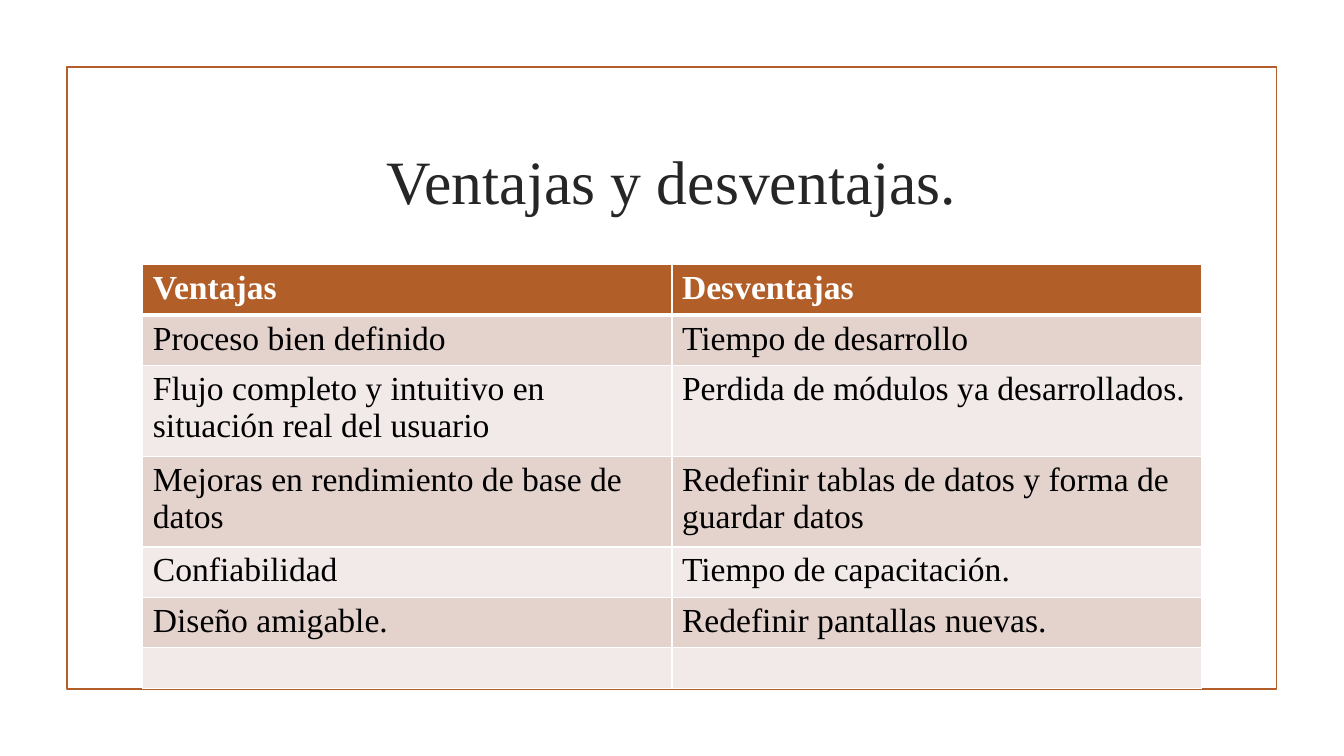
from lxml import etree
from pptx import Presentation
from pptx.dml.color import RGBColor
from pptx.enum.shapes import MSO_SHAPE
from pptx.enum.text import MSO_ANCHOR, PP_ALIGN
from pptx.oxml.ns import qn
from pptx.util import Pt

RECTANGLE = MSO_SHAPE.RECTANGLE
MIDDLE, TOP = MSO_ANCHOR.MIDDLE, MSO_ANCHOR.TOP
CENTER, LEFT = PP_ALIGN.CENTER, PP_ALIGN.LEFT

COLORS = {
    "accent": "B15E28",
    "title": "262626",
    "text": "000000",
    "white": "FFFFFF",
    "band_dark": "E4D2CD",
    "band_light": "F2EAE8",
}
FONT = "Times New Roman"
ROW_HEIGHT = 29.2
ROWS = [
    ("Ventajas", "Desventajas"),
    ("Proceso bien definido", "Tiempo de desarrollo"),
    ("Flujo completo y intuitivo en situación real del usuario",
     "Perdida de módulos ya desarrollados."),
    ("Mejoras en rendimiento de base de datos",
     "Redefinir tablas de datos y forma de guardar datos"),
    ("Confiabilidad", "Tiempo de capacitación."),
    ("Diseño amigable.", "Redefinir pantallas nuevas."),
    ("", ""),
]


def color(name):
    return RGBColor.from_string(COLORS[name])


def write(text_frame, text, size=24, ink="text", bold=False, align=LEFT):
    para = text_frame.paragraphs[0]
    para.alignment = align
    span = para.add_run()
    span.text = text
    span.font.name = FONT
    span.font.size = Pt(size)
    span.font.bold = bold
    span.font.color.rgb = color(ink)


def add_border(cell, side, width):
    properties = cell._tc.get_or_add_tcPr()
    line = etree.SubElement(properties, qn(f"a:ln{side}"), w=str(Pt(width)))
    fill = etree.SubElement(line, qn("a:solidFill"))
    etree.SubElement(fill, qn("a:srgbClr"), val=COLORS["white"])


def add_frame(page, left, top, width, height):
    frame = page.shapes.add_shape(
        RECTANGLE, Pt(left), Pt(top), Pt(width), Pt(height))
    frame.shadow.inherit = False
    frame.fill.background()
    frame.line.color.rgb = color("accent")
    frame.line.width = Pt(1.25)


def add_title(page, left, top, width, height):
    box = page.shapes.add_textbox(Pt(left), Pt(top), Pt(width), Pt(height))
    box.text_frame.word_wrap = True
    box.text_frame.vertical_anchor = MIDDLE
    write(box.text_frame, "Ventajas y desventajas.", size=44, ink="title",
          align=CENTER)


def add_comparison(page, left, top, width, height):
    holder = page.shapes.add_table(
        len(ROWS), len(ROWS[0]), Pt(left), Pt(top), Pt(width), Pt(height))
    table = holder.table
    table.horz_banding = False
    for row_index, texts in enumerate(ROWS):
        header = row_index == 0
        band = "band_dark" if row_index % 2 else "band_light"
        table.rows[row_index].height = Pt(ROW_HEIGHT)
        for column_index, text in enumerate(texts):
            cell = table.cell(row_index, column_index)
            cell.vertical_anchor = TOP
            for side in "LRTB":
                heavy = (row_index, side) in ((0, "B"), (1, "T"))
                add_border(cell, side, 3 if heavy else 1)
            cell.fill.solid()
            cell.fill.fore_color.rgb = color("accent" if header else band)
            if text:
                write(cell.text_frame, text, bold=header,
                      ink="white" if header else "text")
    holder.height = Pt(height)


def main():
    deck = Presentation()
    deck.slide_width, deck.slide_height = Pt(960), Pt(540)
    page = deck.slides.add_slide(deck.slide_layouts[6])
    page.background.fill.solid()
    page.background.fill.fore_color.rgb = color("white")
    add_frame(page, 47.8, 48, 864, 444)
    add_title(page, 102, 77, 756, 103)
    add_comparison(page, 102, 189, 756, 303)
    deck.save("out.pptx")


if __name__ == "__main__":
    main()
